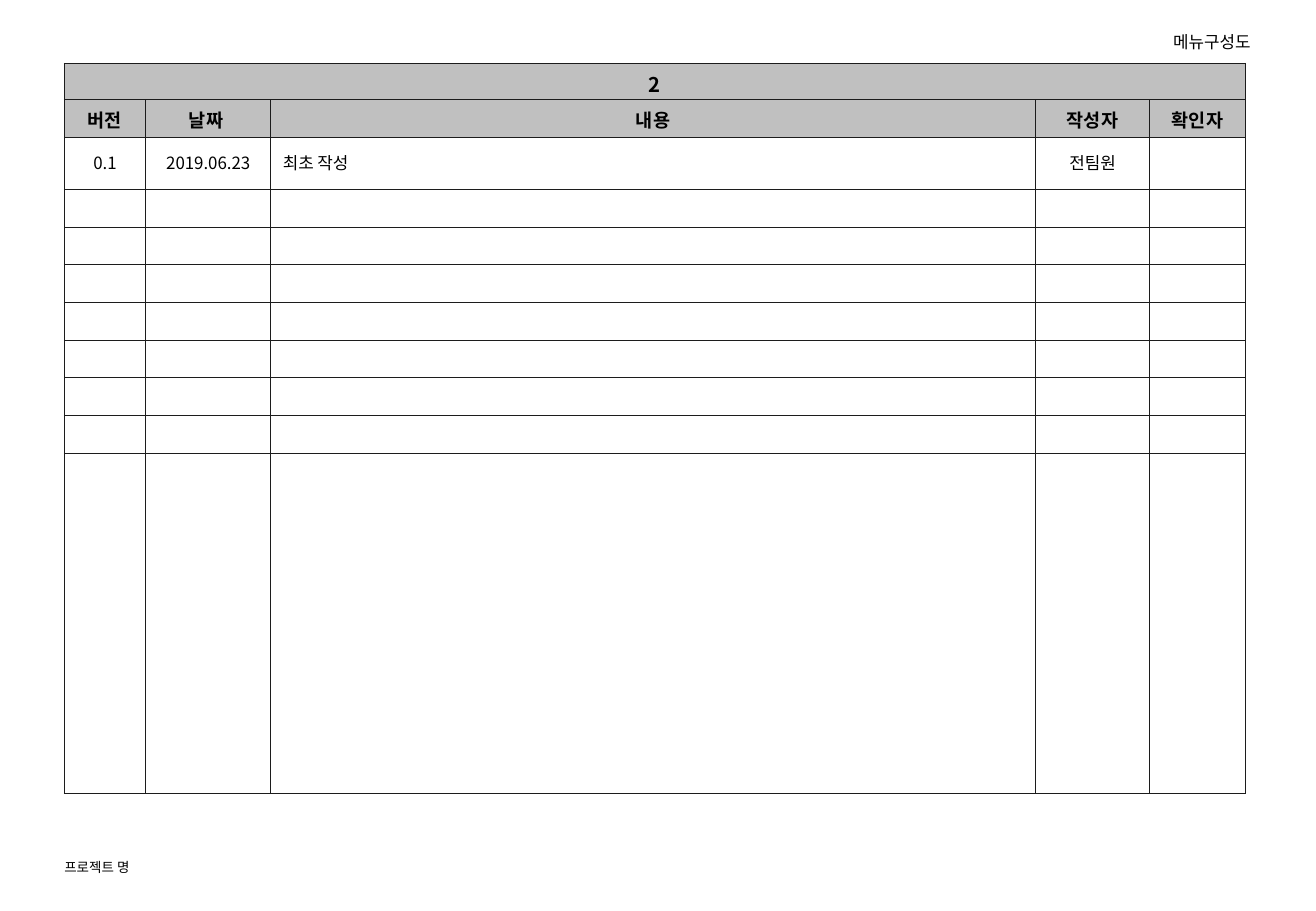
from dataclasses import dataclass
from typing import Any

from lxml.etree import SubElement
from pptx import Presentation
from pptx.dml.color import RGBColor
from pptx.enum.text import MSO_ANCHOR as Anchor, MSO_AUTO_SIZE as AutoSize, PP_ALIGN as Align
from pptx.oxml.ns import qn
from pptx.util import Emu, Pt

EMU_PER_PX = 9144


@dataclass(frozen=True)
class Theme:
    font: str = "Noto Sans CJK KR"
    text: str = "000000"
    header_fill: str = "C0C0C0"
    border: str = "1C1C1C"
    border_width: float = 0.45
    banner_size: float = 12
    header_size: float = 11
    body_size: float = 10
    footer_size: float = 8


@dataclass(frozen=True)
class TextStyle:
    size: float
    bold: bool = False
    align: Any = Align.CENTER
    space_before: float = 0


@dataclass(frozen=True)
class Label:
    text: str
    left: int
    top: int
    width: int
    height: int
    style: TextStyle


@dataclass(frozen=True)
class TableRow:
    height: int
    texts: tuple[str, ...]
    style: TextStyle
    is_header: bool = False


THEME = Theme()
BODY = TextStyle(THEME.body_size, space_before=2.5)
BODY_LEFT = TextStyle(THEME.body_size, align=Align.LEFT, space_before=2.5)
BANNER = TextStyle(THEME.banner_size, True, space_before=3)
HEADER = TextStyle(THEME.header_size, True, space_before=2.8)

TITLE = Label("메뉴구성도", 711, 26, 319, 17, TextStyle(THEME.body_size, align=Align.RIGHT))
FOOTER = Label("프로젝트 명", 53, 707, 355, 13, TextStyle(THEME.footer_size, align=Align.LEFT))

CONTENT_COLUMN = 2
COLUMN_WIDTHS = (67, 103, 630, 94, 79)
EMPTY = ("",) * len(COLUMN_WIDTHS)
ROWS = (
    TableRow(30, ("2", "", "", "", ""), BANNER, True),
    TableRow(31, ("버전", "날짜 ", "내용", "작성자", "확인자"), HEADER, True),
    TableRow(43, ("0.1", "2019.06.23", "최초 작성", "전팀원", ""), BODY),
    *[TableRow(31, EMPTY, BODY)] * 7,
    TableRow(280, EMPTY, BODY),
)


def px(length: int) -> Emu:
    return Emu(length * EMU_PER_PX)


def set_values(target: Any, values: dict[str, Any]) -> None:
    for name, value in values.items():
        setattr(target, name, value)


def write_text(text_frame: Any, text: str, style: TextStyle) -> None:
    paragraph = text_frame.paragraphs[0]
    set_values(paragraph, {"alignment": style.align, "space_before": Pt(style.space_before)})
    if not text:
        paragraph._p.get_or_add_endParaRPr().set("sz", str(int(style.size * 100)))
        return
    run = paragraph.add_run()
    run.text = text
    set_values(run.font, {"name": THEME.font, "size": Pt(style.size), "bold": style.bold})
    run.font.color.rgb = RGBColor.from_string(THEME.text)
    SubElement(run._r.get_or_add_rPr(), qn("a:ea"), typeface=THEME.font)


def place_label(shape: Any, label: Label) -> None:
    set_values(shape, {name: px(getattr(label, name)) for name in ("left", "top", "width", "height")})
    set_values(shape.text_frame, {
        "margin_left": 0, "margin_right": 0, "margin_top": 0, "margin_bottom": 0,
        "word_wrap": True, "auto_size": AutoSize.NONE, "vertical_anchor": Anchor.MIDDLE,
    })
    write_text(shape.text_frame, label.text, label.style)


def add_borders(cell: Any) -> None:
    properties = cell._tc.get_or_add_tcPr()
    for side in ("a:lnL", "a:lnR", "a:lnT", "a:lnB"):
        line = SubElement(properties, qn(side), w=str(Pt(THEME.border_width)))
        fill = SubElement(line, qn("a:solidFill"))
        SubElement(fill, qn("a:srgbClr"), val=THEME.border)


def format_cell(cell: Any, text: str, row: TableRow, style: TextStyle) -> None:
    set_values(cell, {
        "margin_left": px(10), "margin_right": px(10),
        "margin_top": px(5) if row.is_header else 0,
        "margin_bottom": 0 if row.is_header else px(2),
        "vertical_anchor": Anchor.TOP if row.is_header else Anchor.MIDDLE,
    })
    add_borders(cell)
    if row.is_header:
        cell.fill.solid()
        cell.fill.fore_color.rgb = RGBColor.from_string(THEME.header_fill)
    else:
        cell.fill.background()
    write_text(cell.text_frame, text, style)


def add_history_table(slide: Any) -> None:
    frame = slide.shapes.add_table(
        len(ROWS), len(COLUMN_WIDTHS), px(53), px(52),
        px(sum(COLUMN_WIDTHS)), px(sum(row.height for row in ROWS)),
    )
    table = frame.table
    set_values(table, {"first_row": False, "horz_banding": False})
    for column, width in zip(table.columns, COLUMN_WIDTHS):
        column.width = px(width)
    for row_index, row in enumerate(ROWS):
        table.rows[row_index].height = px(row.height)
        for column_index, text in enumerate(row.texts):
            is_content = column_index == CONTENT_COLUMN and not row.is_header
            style = BODY_LEFT if is_content else row.style
            format_cell(table.cell(row_index, column_index), text, row, style)
    table.cell(0, 0).merge(table.cell(0, len(COLUMN_WIDTHS) - 1))


def main() -> None:
    presentation = Presentation()
    set_values(presentation, {"slide_width": px(1084), "slide_height": px(750)})
    slide = presentation.slides.add_slide(presentation.slide_layouts[5])
    add_history_table(slide)
    place_label(slide.shapes.add_textbox(0, 0, 0, 0), FOOTER)
    place_label(slide.shapes.title, TITLE)
    presentation.save("out.pptx")


if __name__ == "__main__":
    main()
